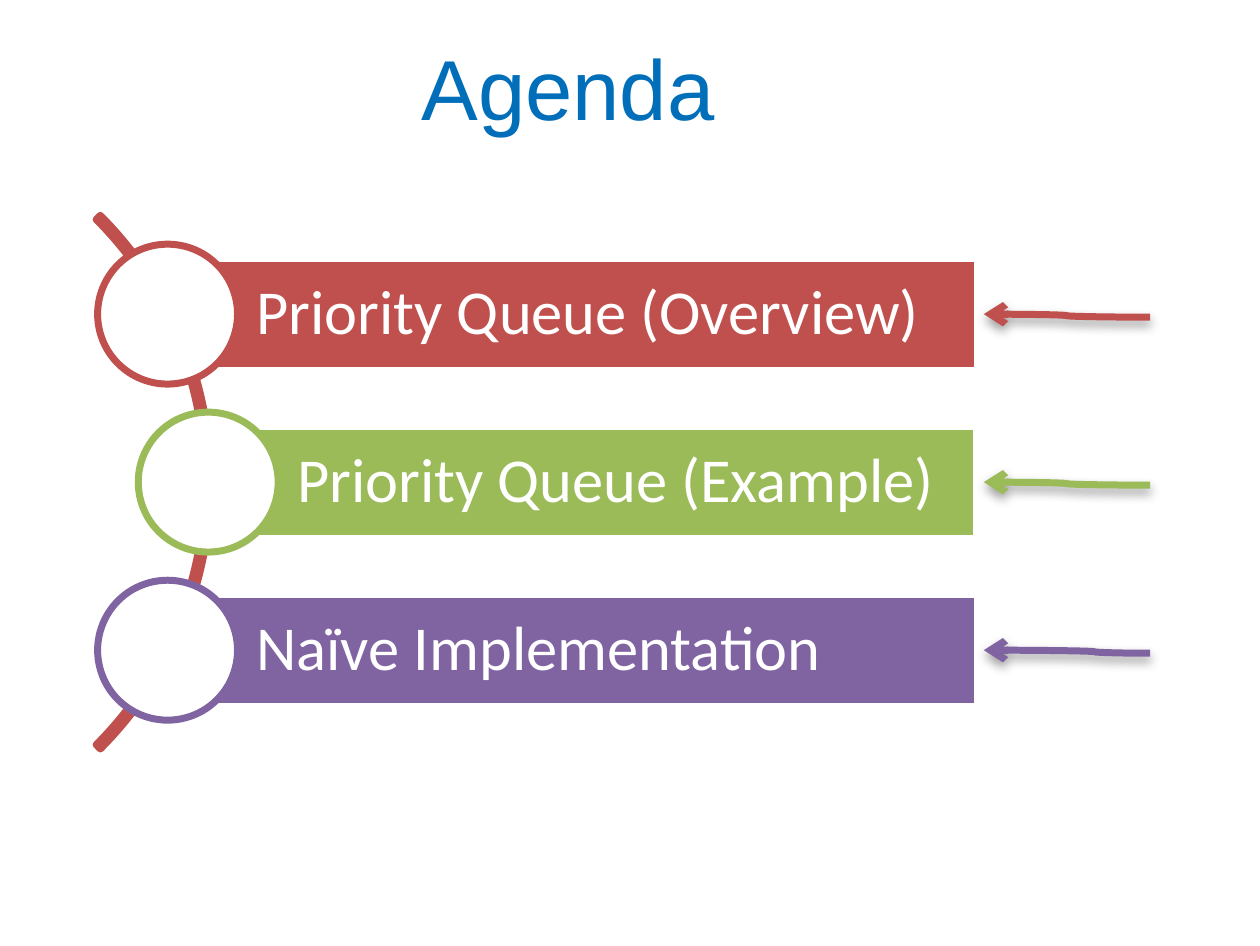
"""Build an agenda slide with three topics along an arc."""
from dataclasses import dataclass

from pptx import Presentation
from pptx.dml.color import RGBColor
from pptx.enum.shapes import MSO_CONNECTOR, MSO_SHAPE
from pptx.enum.text import MSO_ANCHOR, PP_ALIGN
from pptx.oxml import parse_xml
from pptx.oxml.ns import nsdecls, qn
from pptx.util import Pt

RECTANGLE = MSO_SHAPE.RECTANGLE
OVAL = MSO_SHAPE.OVAL
BLOCK_ARC = MSO_SHAPE.BLOCK_ARC
CURVE = MSO_CONNECTOR.CURVE
LEFT = PP_ALIGN.LEFT
TOP = MSO_ANCHOR.TOP
MIDDLE = MSO_ANCHOR.MIDDLE

BLUE = RGBColor(0x00, 0x6E, 0xB8)
RED = RGBColor(0xC0, 0x50, 0x4D)
GREEN = RGBColor(0x9B, 0xBB, 0x59)
PURPLE = RGBColor(0x80, 0x64, 0xA2)
WHITE = RGBColor(0xFF, 0xFF, 0xFF)

LINE_WIDTH = 2
FIRST_CENTRE = 90.5
ROW_PITCH = 48.4
BAR_HEIGHT = 32.3
BAR_RIGHT = 281.5
CIRCLE_SIZE = 40.3
ARC_SIZE = 217.4
ARC_RIGHT = 60.8
ARROW_TIP = 283.5
ARROW_TAIL = 331.4
ARROW_DROP = 0.9

SHADOW = (
    f'<a:effectLst {nsdecls("a")}>'
    f'<a:outerShdw blurRad="{Pt(3.1)}" dist="{Pt(1.6)}" dir="5400000" rotWithShape="0">'
    '<a:srgbClr val="000000"><a:alpha val="38000"/></a:srgbClr>'
    '</a:outerShdw></a:effectLst>'
)


@dataclass(frozen=True)
class Topic:
    """One agenda row."""
    text: str
    color: RGBColor
    centre_x: float
    bend: int = 50000


TOPICS = (
    Topic("Priority Queue (Overview)", RED, 48.3),
    Topic("Priority Queue (Example)", GREEN, 60),
    Topic("Naïve Implementation", PURPLE, 48.3, bend=33500),
)


def add_figure(page, kind, left: float, top: float, width: float, height: float,
               line: RGBColor, fill: RGBColor | None = None):
    """Add a flat outlined shape."""
    figure = page.shapes.add_shape(kind, Pt(left), Pt(top), Pt(width), Pt(height))
    figure.shadow.inherit = False
    if fill is None:
        figure.fill.background()
    else:
        figure.fill.solid()
        figure.fill.fore_color.rgb = fill
    figure.line.color.rgb = line
    figure.line.width = Pt(LINE_WIDTH)
    return figure


def write_text(box, text: str, *, font: str, size: float, color: RGBColor,
               anchor=TOP, insets=(0, 0, 0, 0), spacing: float = 1.0,
               wrap: bool = True) -> None:
    """Write one formatted paragraph into a shape."""
    frame = box.text_frame
    frame.word_wrap = wrap
    frame.vertical_anchor = anchor
    (frame.margin_left, frame.margin_top,
     frame.margin_right, frame.margin_bottom) = map(Pt, insets)
    para = frame.paragraphs[0]
    para.alignment = LEFT
    para.line_spacing = spacing
    span = para.add_run()
    span.text = text
    span.font.name = font
    span.font.size = Pt(size)
    span.font.color.rgb = color


def add_arrow(page, topic: Topic, centre_y: float) -> None:
    """Add a curved, shadowed arrow pointing at a topic bar."""
    arrow = page.shapes.add_connector(
        CURVE, Pt(ARROW_TAIL), Pt(centre_y + ARROW_DROP), Pt(ARROW_TIP), Pt(centre_y))
    arrow.line.color.rgb = topic.color
    arrow.line.width = Pt(LINE_WIDTH)
    properties = arrow._element.spPr
    properties.find(qn("a:ln")).append(
        parse_xml(f'<a:tailEnd {nsdecls("a")} type="arrow"/>'))
    properties.append(parse_xml(SHADOW))
    guides = properties.find(qn("a:prstGeom")).find(qn("a:avLst"))
    guides.append(parse_xml(
        f'<a:gd {nsdecls("a")} name="adj1" fmla="val {topic.bend}"/>'))


def add_topic(page, topic: Topic, centre_y: float) -> None:
    """Add the bar and circle of one topic."""
    bar = add_figure(page, RECTANGLE, topic.centre_x, centre_y - BAR_HEIGHT / 2,
                     BAR_RIGHT - topic.centre_x, BAR_HEIGHT, WHITE, topic.color)
    write_text(bar, topic.text, font="Calibri", size=18, color=WHITE,
               anchor=MIDDLE, insets=(25.6, 3.6, 3.6, 3.6), spacing=0.9)
    add_figure(page, OVAL, topic.centre_x - CIRCLE_SIZE / 2,
               centre_y - CIRCLE_SIZE / 2, CIRCLE_SIZE, CIRCLE_SIZE, topic.color, WHITE)


def main() -> None:
    """Build and save the deck."""
    deck = Presentation()
    deck.slide_width, deck.slide_height = Pt(363), Pt(272.5)
    page = deck.slides.add_slide(deck.slide_layouts[6])

    title = page.shapes.add_textbox(Pt(121.5), Pt(10.1), Pt(95.8), Pt(29.5))
    write_text(title, "Agenda", font="Arial", size=24.5, color=BLUE, wrap=False)

    middle = FIRST_CENTRE + ROW_PITCH
    arc = add_figure(page, BLOCK_ARC, ARC_RIGHT - ARC_SIZE, middle - ARC_SIZE / 2,
                     ARC_SIZE, ARC_SIZE, RED)
    for index, value in enumerate((189, 27, 0.008)):
        arc.adjustments[index] = value

    rows = [(topic, FIRST_CENTRE + index * ROW_PITCH)
            for index, topic in enumerate(TOPICS)]
    for draw in (add_topic, add_arrow):
        for topic, centre_y in rows:
            draw(page, topic, centre_y)

    deck.save("out.pptx")


if __name__ == "__main__":
    main()
